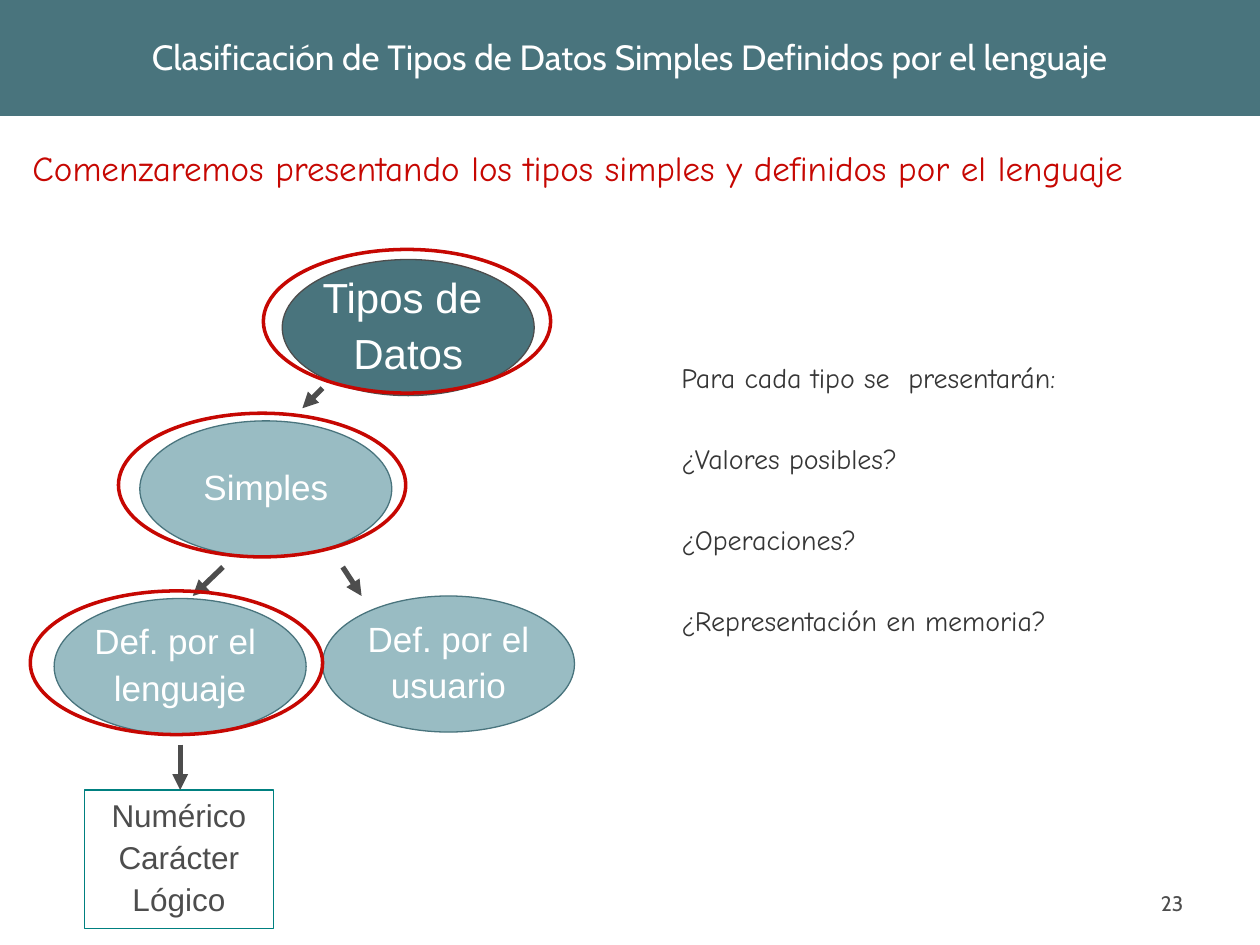
from pptx import Presentation
from pptx.dml.color import RGBColor
from pptx.enum import shapes, text
from pptx.oxml import parse_xml
from pptx.oxml.ns import nsdecls
from pptx.util import Inches, Pt


class Theme:
    teal, light, edge = "49747D", "99BCC3", "008080"
    red, gray, ink, white = "C60702", "4D4D4D", "363636", "FFFFFF"
    body, title, hand = "Arial", "Cabin", "Comic Neue"
    root, large, medium, small, tiny = 24, 20, 18, 16, 12
    thin, ring, arrow = 0.75, 2, 3


TITLE = "Clasificación de Tipos de Datos Simples Definidos por el lenguaje"
INTRO = "Comenzaremos presentando los tipos simples y definidos por el lenguaje"
QUESTIONS = ["Para cada tipo se  presentarán:", "¿Valores posibles?",
             "¿Operaciones?", "¿Representación en memoria?"]
BASIC_TYPES = ["Numérico", "Carácter", "Lógico"]
PAGE = "23"

NODE_SIZE = (2, 1.08)
NODES = [
    (["Tipos de ", "Datos"], (2.24, 2.06), Theme.teal, Theme.gray, Theme.root),
    (["Simples"], (1.11, 3.34), Theme.light, Theme.teal, Theme.large),
    (["Def. por el ", "lenguaje"], (0.43, 4.75), Theme.light, Theme.teal, Theme.large),
    (["Def. por el", "usuario"], (2.56, 4.73), Theme.light, Theme.teal, Theme.large),
]
ARROWS = [
    (2.56, 3.08, 2.4, 3.24),
    (1.77, 4.5, 1.53, 4.73),
    (2.72, 4.5, 2.87, 4.73),
    (1.43, 5.91, 1.43, 6.27),
]
RINGS = [(2.09, 1.98, 2.28, 1.14), (0.94, 3.28, 2.28, 1.14), (0.24, 4.69, 2.32, 1.14)]

ALIGN, ANCHOR = text.PP_ALIGN, text.MSO_ANCHOR


def rgb(value):
    return RGBColor.from_string(value)


def write(sp, lines, font, size, color, align=ALIGN.LEFT, anchor=ANCHOR.TOP,
          wrap=True, before=0, spacing=1.0):
    tf = sp.text_frame
    tf.word_wrap = wrap
    tf.vertical_anchor = anchor
    for i, line in enumerate(lines):
        p = tf.paragraphs[0] if i == 0 else tf.add_paragraph()
        p.alignment = align
        p.space_before = Pt(before)
        p.line_spacing = spacing
        r = p.add_run()
        r.text = line
        r.font.name = font
        r.font.size = Pt(size)
        r.font.color.rgb = rgb(color)


def add_box(s, box, **style):
    sp = s.shapes.add_textbox(*map(Inches, box))
    write(sp, **style)


def add_shape(s, kind, box, fill=None, line=None, width=Theme.thin):
    sp = s.shapes.add_shape(kind, *map(Inches, box))
    sp.shadow.inherit = False
    if fill:
        sp.fill.solid()
        sp.fill.fore_color.rgb = rgb(fill)
    else:
        sp.fill.background()
    if line:
        sp.line.color.rgb = rgb(line)
        sp.line.width = Pt(width)
    else:
        sp.line.fill.background()
    return sp


def add_label(sp, lines, size, color):
    write(sp, lines, Theme.body, size, color, ALIGN.CENTER, ANCHOR.MIDDLE,
          wrap=False, before=size / 4, spacing=0.9)


def add_arrow(s, ends):
    c = s.shapes.add_connector(shapes.MSO_CONNECTOR.STRAIGHT, *map(Inches, ends))
    c.line.color.rgb = rgb(Theme.gray)
    c.line.width = Pt(Theme.arrow)
    c.line._get_or_add_ln().append(
        parse_xml(f'<a:tailEnd {nsdecls("a")} type="triangle"/>'))
    c._element.spPr.append(parse_xml(f'<a:effectLst {nsdecls("a")}/>'))


def main():
    prs = Presentation()
    prs.slide_width, prs.slide_height = Inches(10), Inches(7.5)
    s = prs.slides.add_slide(prs.slide_layouts[6])
    rect, oval = shapes.MSO_SHAPE.RECTANGLE, shapes.MSO_SHAPE.OVAL

    add_box(s, (0.16, 1.11, 9.84, 0.99), lines=[INTRO], font=Theme.hand,
            size=Theme.large, color=Theme.red)

    types = add_shape(s, rect, (0.67, 6.27, 1.5, 1.1), Theme.white, Theme.edge)
    add_label(types, BASIC_TYPES, Theme.medium, Theme.gray)

    for lines, corner, fill, line, size in NODES:
        node = add_shape(s, oval, corner + NODE_SIZE, fill, line)
        add_label(node, lines, size, Theme.white)
    for ends in ARROWS:
        add_arrow(s, ends)
    for box in RINGS:
        add_shape(s, oval, box, line=Theme.red, width=Theme.ring)

    add_box(s, (5.31, 2.81, 3.74, 2.3), lines=QUESTIONS, font=Theme.hand,
            size=Theme.small, color=Theme.ink, before=27.2)

    banner = add_shape(s, rect, (0, -0.03, 10, 0.95), Theme.teal)
    write(banner, [TITLE], Theme.title, Theme.large, Theme.white,
          ALIGN.CENTER, ANCHOR.MIDDLE)
    add_box(s, (7.16, 6.82, 2.33, 0.5), lines=[PAGE], font=Theme.title,
            size=Theme.tiny, color=Theme.gray, align=ALIGN.RIGHT, anchor=ANCHOR.BOTTOM)

    prs.save("out.pptx")


if __name__ == "__main__":
    main()
